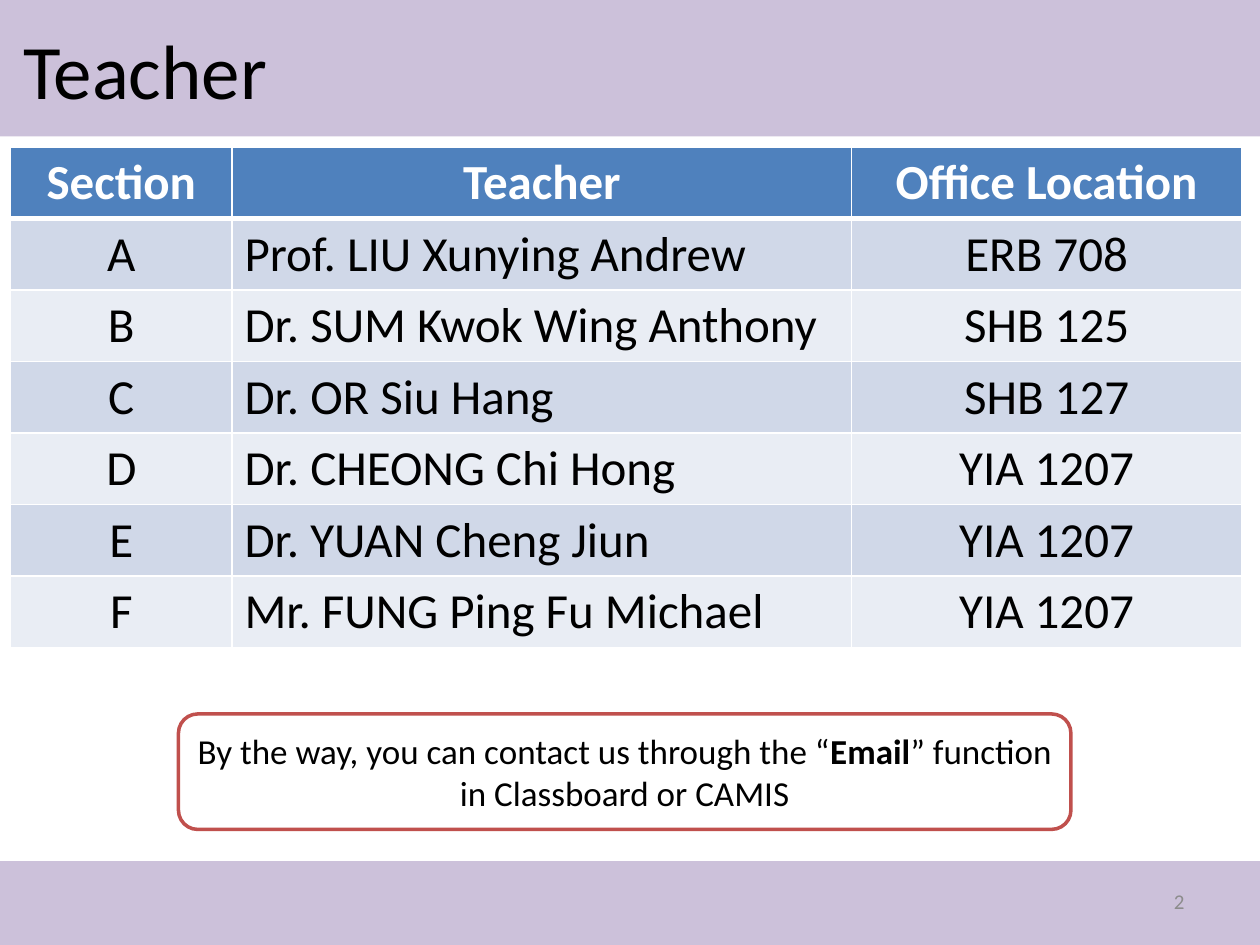
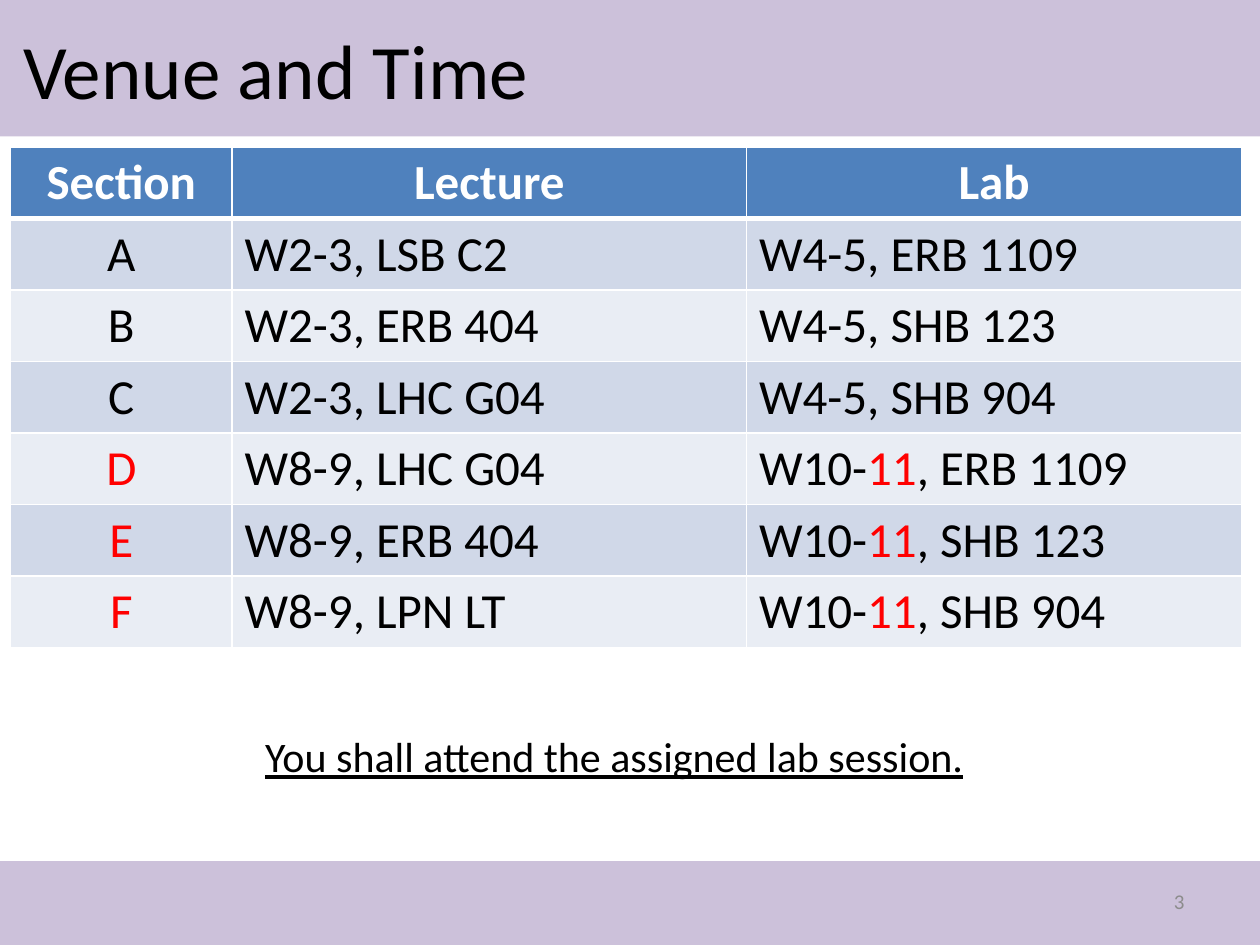
from lxml import etree
from pptx import Presentation
from pptx import util as u
from pptx.dml.color import RGBColor
from pptx.enum import shapes, text
from pptx.oxml import ns

BLACK = RGBColor(0x00, 0x00, 0x00)
WHITE = RGBColor(0xFF, 0xFF, 0xFF)
RED = RGBColor(0xFF, 0x00, 0x00)
GREY = RGBColor(0x8C, 0x8C, 0x8C)
LILAC = RGBColor(0xCC, 0xC1, 0xDA)
BLUE = RGBColor(0x4F, 0x81, 0xBD)
BRICK = RGBColor(0xC0, 0x50, 0x4D)
STRIPES = RGBColor(0xE9, 0xED, 0xF4), RGBColor(0xD0, 0xD8, 0xE8)

FONT = "Calibri"
COLUMNS, ROWS = 120, 90
LEFT, CENTER, RIGHT = text.PP_ALIGN.LEFT, text.PP_ALIGN.CENTER, text.PP_ALIGN.RIGHT
MIDDLE = text.MSO_ANCHOR.MIDDLE
TITLE_ONLY = 5


def write(frame, words, size, color=BLACK, bold=False, underline=False,
          align=LEFT, accent_color=None, accent_bold=None):
    """Parts of the words between asterisks take the accent format."""
    para = frame.paragraphs[0]
    para.alignment = align
    for index, part in enumerate(words.split("*")):
        if not part:
            continue
        accented = index % 2 == 1
        span = para.add_run()
        span.text = part
        font = span.font
        font.name, font.size, font.underline = FONT, u.Pt(size), underline
        font.bold = accent_bold if accented and accent_bold is not None else bold
        font.color.rgb = accent_color if accented and accent_color else color


def add_border(cell, side, points):
    properties = cell._tc.get_or_add_tcPr()
    line = etree.SubElement(properties, ns.qn(f"a:ln{side}"), w=str(u.Pt(points)))
    fill = etree.SubElement(line, ns.qn("a:solidFill"))
    etree.SubElement(fill, ns.qn("a:srgbClr"), val=str(WHITE))


class CourseDeck:
    def __init__(self):
        self.deck = Presentation()
        self.deck.slide_width, self.deck.slide_height = u.Inches(10), u.Inches(7.5)
        self.page = None

    def place(self, column, row, columns, rows):
        across = self.deck.slide_width / COLUMNS
        down = self.deck.slide_height / ROWS
        return (round(column * across), round(row * down),
                round(columns * across), round(rows * down))

    def new_page(self, title, number):
        first = self.page is None
        self.page = self.deck.slides.add_slide(self.deck.slide_layouts[TITLE_ONLY])
        if first:
            self.master_band(0, 13)
            self.master_band(82, 8)
        heading = self.page.shapes.title
        heading.left, heading.top, heading.width, heading.height = self.place(1, 1, 108, 11)
        heading.text_frame.vertical_anchor = MIDDLE
        write(heading.text_frame, title, 44)
        self.label(str(number), (86, 83.4, 28, 4.8), size=12, color=GREY,
                   align=RIGHT, anchor=MIDDLE)

    def shape(self, kind, area, fill, line=None):
        box = self.page.shapes.add_shape(kind, *self.place(*area))
        box.shadow.inherit = False
        box.fill.solid()
        box.fill.fore_color.rgb = fill
        if line is None:
            box.line.fill.background()
        else:
            box.line.color.rgb = line
            box.line.width = u.Pt(2)
        return box

    def master_band(self, row, rows):
        band = self.shape(shapes.MSO_SHAPE.RECTANGLE, (0, row, COLUMNS, rows), LILAC)
        self.deck.slide_master.shapes.element.insert(2, band.element)

    def label(self, words, area, anchor=text.MSO_ANCHOR.TOP, **style):
        box = self.page.shapes.add_textbox(*self.place(*area))
        box.text_frame.word_wrap = True
        box.text_frame.vertical_anchor = anchor
        write(box.text_frame, words, **style)

    def callout(self, words, area):
        box = self.shape(shapes.MSO_SHAPE.ROUNDED_RECTANGLE, area, WHITE, BRICK)
        box.text_frame.word_wrap = True
        box.text_frame.vertical_anchor = MIDDLE
        write(box.text_frame, words, 20, align=CENTER, accent_bold=True)

    def table(self, rows, widths, aligns):
        area = self.place(1, 14, sum(widths), 47.6)
        table = self.page.shapes.add_table(len(rows), len(widths), *area).table
        for column, width in zip(table.columns, widths):
            column.width = self.place(0, 0, width, 0)[2]
        for row, entries in enumerate(rows):
            header = row == 0
            for column, words in enumerate(entries):
                cell = table.cell(row, column)
                for side in "LRTB":
                    thick = (row, side) in ((0, "B"), (1, "T"))
                    add_border(cell, side, 3 if thick else 1)
                cell.fill.solid()
                cell.fill.fore_color.rgb = BLUE if header else STRIPES[row % 2]
                write(cell.text_frame, words, 28, bold=header,
                      color=WHITE if header else BLACK, accent_color=RED,
                      align=CENTER if header else aligns[column])


TEACHERS = [
    ("Section", "Teacher", "Office Location"),
    ("A", "Prof. LIU Xunying Andrew", "ERB 708"),
    ("B", "Dr. SUM Kwok Wing Anthony", "SHB 125"),
    ("C", "Dr. OR Siu Hang", "SHB 127"),
    ("D", "Dr. CHEONG Chi Hong", "YIA 1207"),
    ("E", "Dr. YUAN Cheng Jiun", "YIA 1207"),
    ("F", "Mr. FUNG Ping Fu Michael", "YIA 1207"),
]

VENUES = [
    ("Section", "Lecture", "Lab"),
    ("A", "W2-3, LSB C2", "W4-5, ERB 1109"),
    ("B", "W2-3, ERB 404", "W4-5, SHB 123"),
    ("C", "W2-3, LHC G04", "W4-5, SHB 904"),
    ("*D*", "W8-9, LHC G04", "W10-*11*, ERB 1109"),
    ("*E*", "W8-9, ERB 404", "W10-*11*, SHB 123"),
    ("*F*", "W8-9, LPN LT", "W10-*11*, SHB 904"),
]


def main():
    course = CourseDeck()

    course.new_page("Teacher", 2)
    course.table(TEACHERS, (21.1, 59, 37.15), (CENTER, LEFT, CENTER))
    course.callout("By the way, you can contact us through the “*Email*” function "
                   "in Classboard or CAMIS", (17, 68, 85, 11))

    course.new_page("Venue and Time", 3)
    course.table(VENUES, (21.1, 49, 47.15), (CENTER, LEFT, LEFT))
    course.label("You shall attend the assigned lab session.", (7, 69, 103, 6),
                 size=24, underline=True, align=CENTER)

    course.deck.save("out.pptx")


if __name__ == "__main__":
    main()
